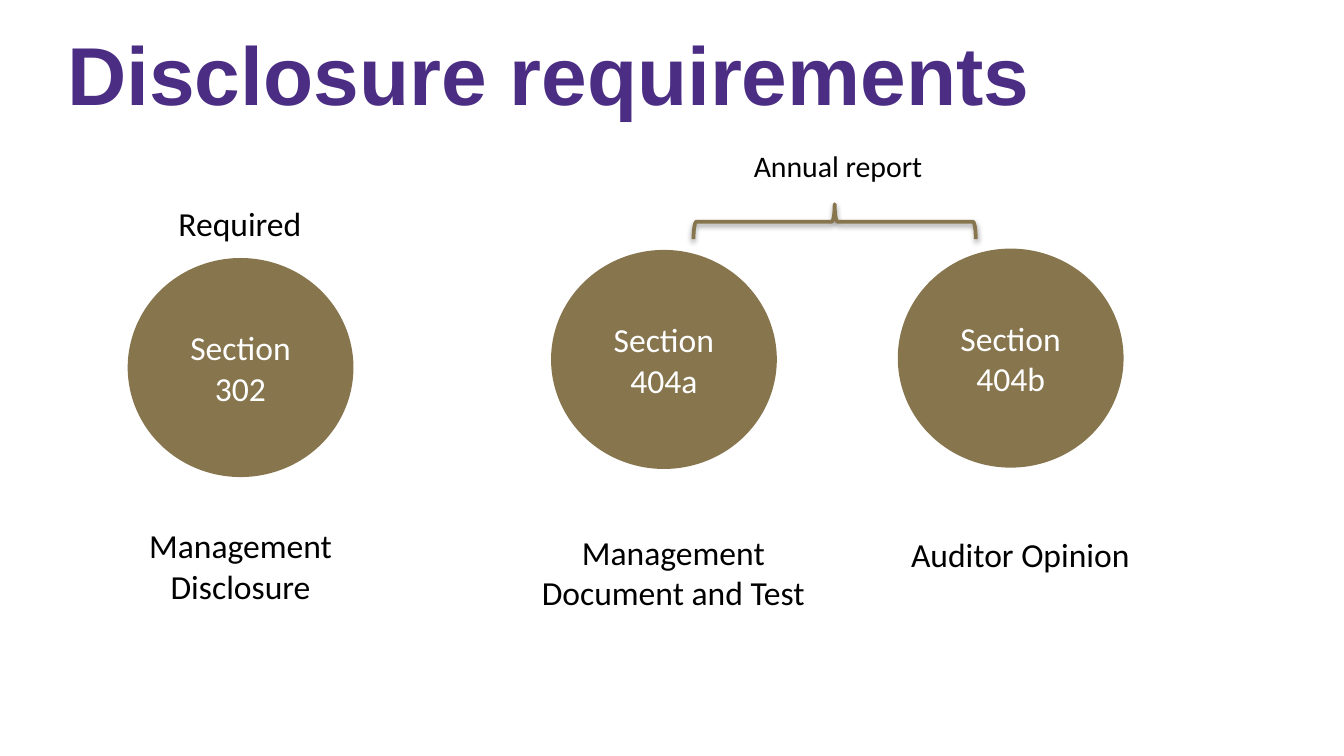
from pptx import Presentation
from pptx.dml.color import RGBColor
from pptx.enum.shapes import MSO_SHAPE
from pptx.enum.text import MSO_ANCHOR, PP_ALIGN
from pptx.oxml import parse_xml
from pptx.oxml.ns import nsdecls
from pptx.util import Inches, Pt

PURPLE = RGBColor(0x4B, 0x2E, 0x84)
GOLD = RGBColor(0x86, 0x75, 0x4D)
WHITE = RGBColor(0xFF, 0xFF, 0xFF)
BLACK = RGBColor(0x00, 0x00, 0x00)


def write(frame, lines, size, color, align):
    frame.text = "\n".join(lines)
    for paragraph in frame.paragraphs:
        paragraph.alignment = align
        paragraph.font.name = "Calibri"
        paragraph.font.size = Pt(size)
        paragraph.font.color.rgb = color


prs = Presentation()
prs.slide_width = Inches(10)
prs.slide_height = prs.slide_width * 9 // 16
slide = prs.slides.add_slide(prs.slide_layouts[5])

title = slide.shapes.title
title.left, title.top = Inches(0.4), Inches(0.12)
title.width, title.height = Inches(9.08), Inches(0.84)
title.text_frame.text = "Disclosure requirements"
title.text_frame.vertical_anchor = MSO_ANCHOR.MIDDLE
heading = title.text_frame.paragraphs[0]
heading.alignment = PP_ALIGN.LEFT
heading.font.name = "Arial"
heading.font.size = Pt(44)
heading.font.bold = True
heading.font.color.rgb = PURPLE

for section, left, top in [
    ("Section 302", 0.95, 1.92),
    ("Section 404a", 4.1, 1.86),
    ("Section 404b", 6.68, 1.85),
]:
    circle = slide.shapes.add_shape(
        MSO_SHAPE.OVAL, Inches(left), Inches(top), Inches(1.68), Inches(1.63))
    circle.shadow.inherit = False
    circle.fill.solid()
    circle.fill.fore_color.rgb = GOLD
    circle.line.fill.background()
    circle.text_frame.vertical_anchor = MSO_ANCHOR.MIDDLE
    write(circle.text_frame, [section], 18, WHITE, PP_ALIGN.CENTER)

for lines, left, top, width, height, size, align, wrap in [
    (["Required"], 1.23, 1.46, 1.13, 0.4, 18, PP_ALIGN.LEFT, False),
    (["Management", "Disclosure"], 1, 3.86, 1.58, 0.71, 18, PP_ALIGN.CENTER, False),
    (["Management", "Document and Test"], 3.92, 3.91, 2.18, 0.71, 18, PP_ALIGN.CENTER, False),
    (["Auditor Opinion"], 6.68, 3.92, 1.85, 0.4, 18, PP_ALIGN.LEFT, False),
    (["Annual report"], 5.51, 1.05, 1.55, 0.37, 16, PP_ALIGN.LEFT, True),
]:
    label = slide.shapes.add_textbox(
        Inches(left), Inches(top), Inches(width), Inches(height))
    label.text_frame.word_wrap = wrap
    write(label.text_frame, lines, size, BLACK, align)

brace = slide.shapes.add_shape(
    MSO_SHAPE.LEFT_BRACE, Inches(6.08), Inches(0.6), Inches(0.26), Inches(2.1))
brace.rotation = 90
brace.fill.background()
brace.line.color.rgb = GOLD
brace.line.width = Pt(2)
brace.shadow.inherit = False
effects = brace._element.spPr.find("{*}effectLst")
effects.append(parse_xml(
    f'<a:outerShdw {nsdecls("a")} blurRad="{Pt(3.1)}" dist="{Pt(1.6)}" '
    'dir="5400000" rotWithShape="0">'
    '<a:srgbClr val="000000"><a:alpha val="38000"/></a:srgbClr></a:outerShdw>'))

prs.save("out.pptx")
